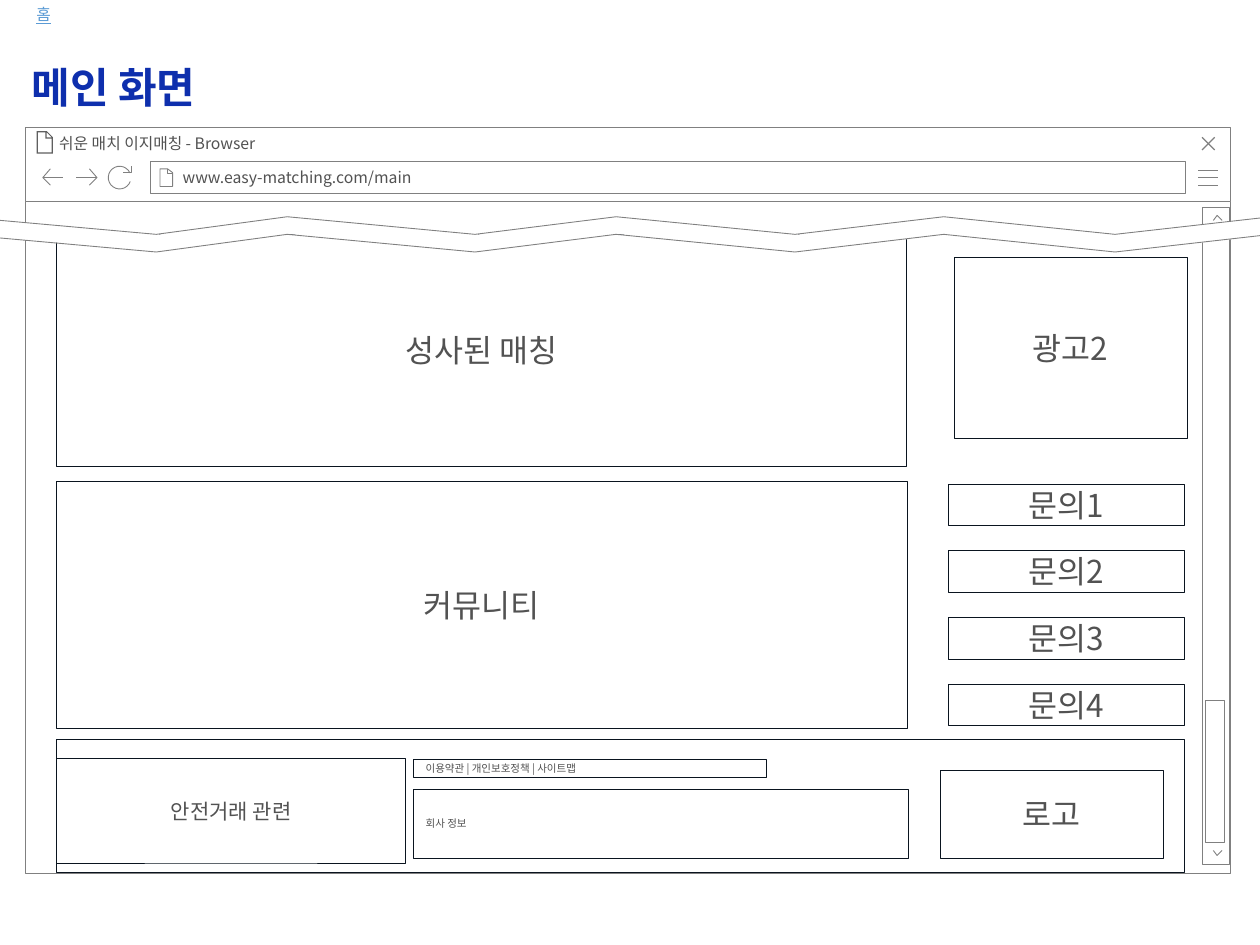
from math import cos, radians, sin

from pptx import Presentation
from pptx.dml.color import RGBColor
from pptx.enum.shapes import MSO_SHAPE
from pptx.enum.text import MSO_ANCHOR, PP_ALIGN
from pptx.oxml.ns import qn
from pptx.util import Cm, Pt
from lxml.etree import SubElement

FONT = "Noto Sans CJK KR"
WHITE = RGBColor(0xFF, 0xFF, 0xFF)
GRAY = RGBColor(0x80, 0x80, 0x80)
INK = RGBColor(0x0A, 0x14, 0x1F)
TEXT = RGBColor(0x52, 0x52, 0x52)
ICON = RGBColor(0x5F, 0x5F, 0x5F)
NAVY = RGBColor(0x0E, 0x2F, 0xAD)
LINK = RGBColor(0x5B, 0x9B, 0xD5)


def inch(value):
    """Convert a slide grid value in inches to a length."""
    return Cm(value * 2.54)


def place(sp, left, top, width, height):
    """Move and size a shape."""
    box = dict(left=left, top=top, width=width, height=height)
    for name, value in box.items():
        setattr(sp, name, inch(value))


def paint(sp, fill=None, line=GRAY, weight=0.5):
    """Set fill and outline; None means invisible."""
    sp.shadow.inherit = False
    for part, color in ((sp.fill, fill), (sp.line.fill, line)):
        if color is None:
            part.background()
        else:
            part.solid()
            part.fore_color.rgb = color
    if line is not None:
        sp.line.width = Pt(weight)


def write(sp, text, size, color=TEXT, align=PP_ALIGN.LEFT,
          anchor=MSO_ANCHOR.MIDDLE, wrap=True, insets=(0.1, 0.05, 0.1, 0.05),
          **style):
    """Fill a shape with one formatted paragraph."""
    tf = sp.text_frame
    frame = dict(word_wrap=wrap, vertical_anchor=anchor)
    sides = ("margin_left", "margin_top", "margin_right", "margin_bottom")
    frame.update(zip(sides, map(inch, insets)))
    for name, value in frame.items():
        setattr(tf, name, value)
    p = tf.paragraphs[0]
    p.alignment = align
    r = p.add_run()
    r.text = text
    for name, value in dict(name=FONT, size=Pt(size), **style).items():
        setattr(r.font, name, value)
    r.font.color.rgb = color
    SubElement(r.font._element, qn("a:ea")).set("typeface", FONT)


def add_box(shapes, box, **look):
    """Add a plain rectangle."""
    sp = shapes.add_shape(MSO_SHAPE.RECTANGLE, *map(inch, box))
    paint(sp, **look)
    return sp


def add_outline(shapes, *strokes, close=False, **look):
    """Add one freeform made of several strokes of (x, y) points."""
    strokes = [[(inch(x), inch(y)) for x, y in s] for s in strokes]
    builder = shapes.build_freeform(*strokes[0][0], scale=1.0)
    for i, stroke in enumerate(strokes):
        if i:
            builder.move_to(*stroke[0])
        builder.add_line_segments(stroke[1:], close=close)
    paint(builder.convert_to_shape(), **look)


def add_browser(s):
    """Draw the window frame, title bar, address bar and their icons."""
    g = s.shapes.add_group_shape().shapes
    add_box(g, (0.2, 1.6, 9.57, 5.33), fill=WHITE)
    bar = add_box(g, (0.2, 1.01, 9.57, 0.59), fill=WHITE)
    write(bar, "쉬운 매치 이지매칭 - Browser", 9, anchor=MSO_ANCHOR.TOP,
          insets=(0.27, 0.05, 0.25, 0.05))
    add_outline(g, *[[(9.51, y), (9.67, y)] for y in (1.47, 1.41, 1.35)])
    add_outline(g, [(9.64, 1.09), (9.54, 1.19)],
                [(9.54, 1.09), (9.64, 1.19)], weight=0.75)
    address = add_box(g, (1.19, 1.28, 8.22, 0.26), fill=WHITE)
    write(address, "www.easy-matching.com/main", 9,
          insets=(0.26, 0.05, 0.1, 0.05))
    add_outline(g, [(1.33, 1.34), (1.33, 1.38), (1.37, 1.38)],
                [(1.27, 1.34), (1.27, 1.48), (1.37, 1.48), (1.37, 1.37),
                 (1.33, 1.34), (1.27, 1.34)])
    for tip, tail, barb in ((0.34, 0.5, 0.4), (0.77, 0.6, 0.71)):
        add_outline(g, [(barb, 1.34), (tip, 1.41), (barb, 1.47)],
                    [(tip, 1.41), (tail, 1.41)])
    arc = [(0.95 + 0.09 * cos(radians(a)), 1.41 + 0.09 * sin(radians(a)))
           for a in range(20, 336, 15)]
    add_outline(g, [(1.04, 1.32), (1.04, 1.37), (0.98, 1.37)], arc)


def add_panels(s):
    """Draw the wireframe panels of the page."""
    center, left = PP_ALIGN.CENTER, PP_ALIGN.LEFT
    add_box(s.shapes, (0.45, 5.87, 8.95, 1.05), line=INK, weight=0.25)
    panels = [
        ("성사된 매칭", 18, center, (0.45, 1.86, 6.74, 1.84)),
        ("커뮤니티", 18, center, (0.45, 3.82, 6.75, 1.96)),
        ("광고2", 18, center, (7.57, 2.04, 1.85, 1.44)),
    ]
    panels += [(f"문의{i + 1}", 18, center, (7.53, 3.84 + 0.53 * i, 1.87, 0.33))
               for i in range(4)]
    panels += [
        ("로고", 18, center, (7.46, 6.11, 1.77, 0.7)),
        ("이용약관 | 개인보호정책 | 사이트맵", 6, left, (3.28, 6.03, 2.8, 0.14)),
        ("회사 정보", 6, left, (3.28, 6.26, 3.93, 0.55)),
        ("안전거래 관련", 12, center, (0.45, 6.02, 2.77, 0.83)),
    ]
    for text, size, align, box in panels:
        sp = add_box(s.shapes, box, line=INK, weight=0.25)
        write(sp, text, size, align=align)


def add_scrollbar(s):
    """Draw the scroll track, thumb and end arrows."""
    g = s.shapes.add_group_shape().shapes
    add_box(g, (9.54, 1.65, 0.22, 5.21), fill=WHITE)
    add_box(g, (9.57, 5.56, 0.15, 1.13), fill=WHITE)
    for base, tip in ((1.75, 1.71), (6.75, 6.79)):
        add_outline(g, [(9.63, base), (9.66, tip), (9.7, base)], fill=WHITE)


def add_page_break(s):
    """Draw the zigzag band that cuts the page."""
    g = s.shapes.add_group_shape().shapes
    xs = (-0.32, 1.24, 2.28, 3.77, 4.89, 6.31, 7.49, 8.85, 10.09)
    upper = [(x, 1.86 if i % 2 else 1.72) for i, x in enumerate(xs)]
    lower = [(x, y + 0.14) for x, y in upper]
    band = [(x + 0.03, y) for x, y in upper + lower[::-1]]
    add_outline(g, band, close=True, fill=WHITE, line=None)
    add_outline(g, upper, lower)


def add_tab_icon(s):
    """Draw the page icon on the browser tab."""
    sheet = [(0.29, 1.04), (0.29, 1.22), (0.42, 1.22), (0.42, 1.09),
             (0.37, 1.04)]
    inside = [(0.3, 1.05), (0.36, 1.05), (0.36, 1.1), (0.41, 1.1),
              (0.41, 1.21), (0.3, 1.21)]
    fold = [(0.37, 1.05), (0.41, 1.09), (0.37, 1.09)]
    add_outline(s.shapes, sheet, inside, fold, close=True, fill=ICON,
                line=None)


def main():
    """Build the slide and save it."""
    prs = Presentation()
    prs.slide_width, prs.slide_height = inch(10), inch(7.5)
    s = prs.slides.add_slide(prs.slide_layouts[5])
    title = s.shapes.title
    place(title, 0.15, 0.44, 1.75, 0.5)
    write(title, "메인 화면", 24, NAVY, anchor=MSO_ANCHOR.TOP, bold=True)
    add_browser(s)
    add_panels(s)
    add_scrollbar(s)
    add_page_break(s)
    add_tab_icon(s)
    home = s.shapes.add_textbox(*map(inch, (0.21, 0, 0.26, 0.22)))
    write(home, "홈", 9, LINK, anchor=MSO_ANCHOR.TOP, wrap=False,
          insets=(0.08, 0.04, 0.08, 0.04), underline=True)
    prs.save("out.pptx")


main()
